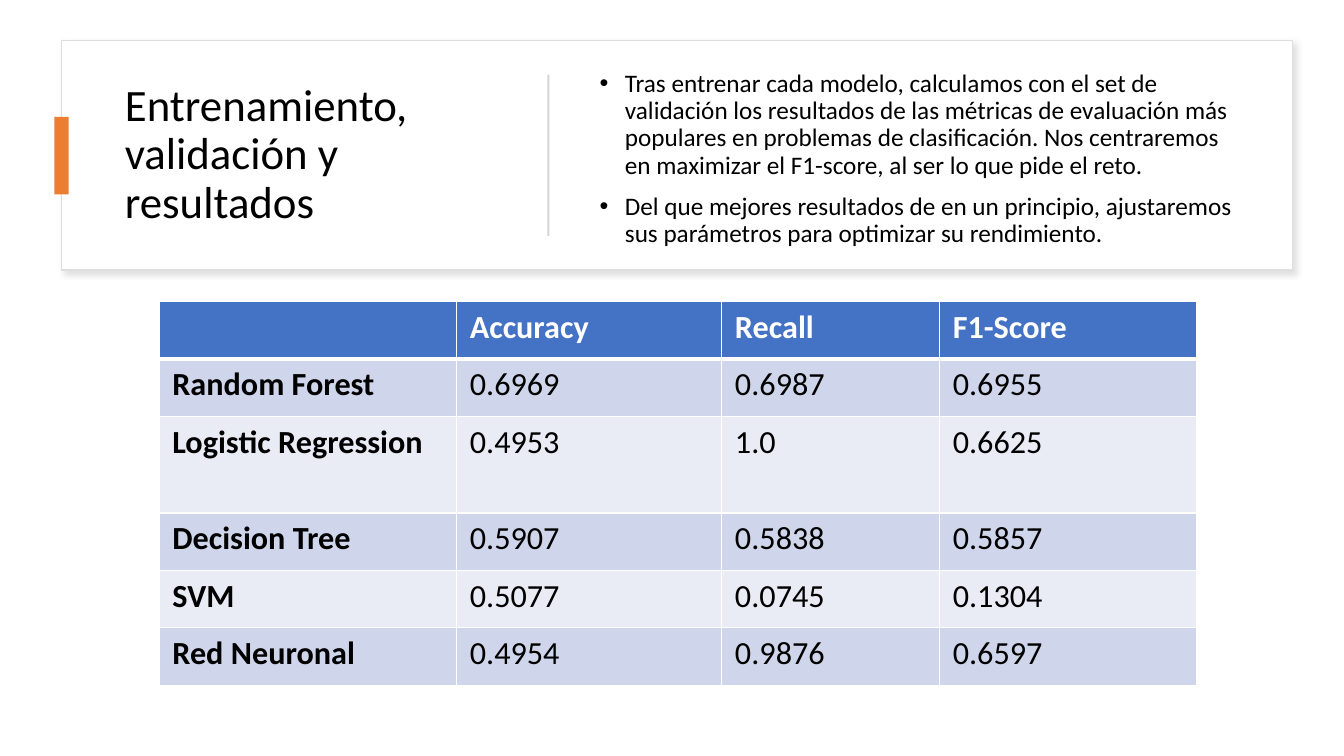
"""Builds the slide on training, validation and results of the models."""
from dataclasses import dataclass

from lxml.etree import SubElement
from pptx import Presentation
from pptx.dml.color import RGBColor
from pptx.enum.shapes import MSO_SHAPE
from pptx.enum.text import MSO_ANCHOR
from pptx.oxml import parse_xml
from pptx.oxml.ns import nsdecls, qn
from pptx.util import Pt

PX = 9144


@dataclass(frozen=True)
class Theme:
    """Colours, font and type sizes of the slide."""
    font: str = "Calibri"
    title_size: int = 32
    body_size: int = 18
    table_size: int = 23
    ink: str = "000000"
    paper: str = "FFFFFF"
    frame: str = "DEDEDE"
    shadow: str = "C5C3C3"
    accent: str = "ED7D31"
    divider: str = "D5D5D5"
    header: str = "4472C4"
    bands: tuple = ("CFD5EA", "E9EBF5")


class Page:
    """Draws styled elements on one slide."""

    def __init__(self, deck, theme):
        """Adds a blank slide to the deck."""
        self.theme = theme
        self.shapes = deck.slides.add_slide(deck.slide_layouts[6]).shapes

    def box(self, place, fill, line=None):
        """Adds a rectangle without shadow."""
        box = self.shapes.add_shape(MSO_SHAPE.RECTANGLE, *(n * PX for n in place))
        box.shadow.inherit = False
        box.fill.solid()
        box.fill.fore_color.rgb = RGBColor.from_string(fill)
        if line:
            box.line.color.rgb = RGBColor.from_string(line)
            box.line.width = Pt(1)
        else:
            box.line.fill.background()
        return box

    def card(self, place):
        """Adds a framed rectangle with a soft shadow."""
        card = self.box(place, self.theme.paper, self.theme.frame)
        effects = card._element.spPr.find(qn("a:effectLst"))
        effects.append(parse_xml(
            f'<a:outerShdw {nsdecls("a")} blurRad="{Pt(4)}" dist="{Pt(3)}" dir="2700000" '
            f'algn="tl" rotWithShape="0"><a:srgbClr val="{self.theme.shadow}">'
            '<a:alpha val="50000"/></a:srgbClr></a:outerShdw>'))

    def span(self, para, text, size, color, bold=False):
        """Adds one run to a paragraph."""
        font = para.add_run()
        font.text = text
        font = font.font
        font.name, font.size, font.bold = self.theme.font, Pt(size), bold
        font.color.rgb = RGBColor.from_string(color)

    def text(self, place, paragraphs, size, anchor, bullets=False):
        """Adds a wrapped text box, with bullets if asked."""
        frame = self.shapes.add_textbox(*(n * PX for n in place)).text_frame
        frame.word_wrap = True
        frame.vertical_anchor = anchor
        frame.margin_top = frame.margin_bottom = 6 * PX
        for index, text in enumerate(paragraphs):
            para = frame.add_paragraph() if index else frame.paragraphs[0]
            para.line_spacing = 0.9
            if bullets:
                para.space_after = Pt(10)
                properties = para._p.get_or_add_pPr()
                properties.set("marL", str(25 * PX))
                properties.set("indent", str(-25 * PX))
                SubElement(properties, qn("a:buFont"), typeface="Arial")
                SubElement(properties, qn("a:buChar"), char="•")
            self.span(para, text, size, self.theme.ink)

    def cell(self, cell, text, fill, color, bold, top, bottom):
        """Fills one table cell and draws its borders."""
        cell.margin_left = cell.margin_right = 13 * PX
        cell.margin_top = cell.margin_bottom = 6 * PX
        cell.fill.solid()
        cell.fill.fore_color.rgb = RGBColor.from_string(fill)
        if text:
            self.span(cell.text_frame.paragraphs[0], text, self.theme.table_size, color, bold)
        properties = cell._tc.get_or_add_tcPr()
        for index, (side, width) in enumerate(zip("LRTB", (1, 1, top, bottom))):
            properties.insert(index, parse_xml(
                f'<a:ln{side} {nsdecls("a")} w="{Pt(width)}"><a:solidFill>'
                f'<a:srgbClr val="{self.theme.paper}"/></a:solidFill></a:ln{side}>'))

    def table(self, left, top, widths, heights, rows):
        """Adds a table with a header row and banded rows."""
        place = (left, top, sum(widths), sum(heights))
        table = self.shapes.add_table(len(rows), len(widths), *(n * PX for n in place)).table
        for column, width in zip(table.columns, widths):
            column.width = width * PX
        for r, (values, height) in enumerate(zip(rows, heights)):
            table.rows[r].height = height * PX
            fill = self.theme.bands[(r - 1) % 2] if r else self.theme.header
            color = self.theme.ink if r else self.theme.paper
            for c, value in enumerate(values):
                self.cell(table.cell(r, c), value, fill, color, r == 0 or c == 0,
                          top=3 if r == 1 else 1, bottom=1 if r else 3)


def main():
    """Builds and saves the deck."""
    theme = Theme()
    deck = Presentation()
    deck.slide_width, deck.slide_height = 1333 * PX, 750 * PX
    page = Page(deck, theme)
    page.card((61, 40, 1221, 228))
    page.text((114, 64, 389, 180), ["Entrenamiento, validación y resultados"],
              theme.title_size, MSO_ANCHOR.MIDDLE)
    page.box((54, 116, 14, 77), theme.accent)
    page.box((543, 74, 2, 160), theme.divider)
    page.text((585, 64, 656, 218), [
        "Tras entrenar cada modelo, calculamos con el set de validación los resultados "
        "de las métricas de evaluación más populares en problemas de clasificación. "
        "Nos centraremos en maximizar el F1-score, al ser lo que pide el reto.",
        "Del que mejores resultados de en un principio, ajustaremos sus parámetros "
        "para optimizar su rendimiento.",
    ], theme.body_size, MSO_ANCHOR.TOP, bullets=True)
    page.table(158, 299, (295, 263, 216, 255), (57, 57, 96, 57, 57, 57), [
        ("", "Accuracy", "Recall", "F1-Score"),
        ("Random Forest", "0.6969", "0.6987", "0.6955"),
        ("Logistic Regression", "0.4953", "1.0", "0.6625"),
        ("Decision Tree", "0.5907", "0.5838", "0.5857"),
        ("SVM", "0.5077", "0.0745", "0.1304"),
        ("Red Neuronal", "0.4954", "0.9876", "0.6597"),
    ])
    deck.save("out.pptx")


if __name__ == "__main__":
    main()
